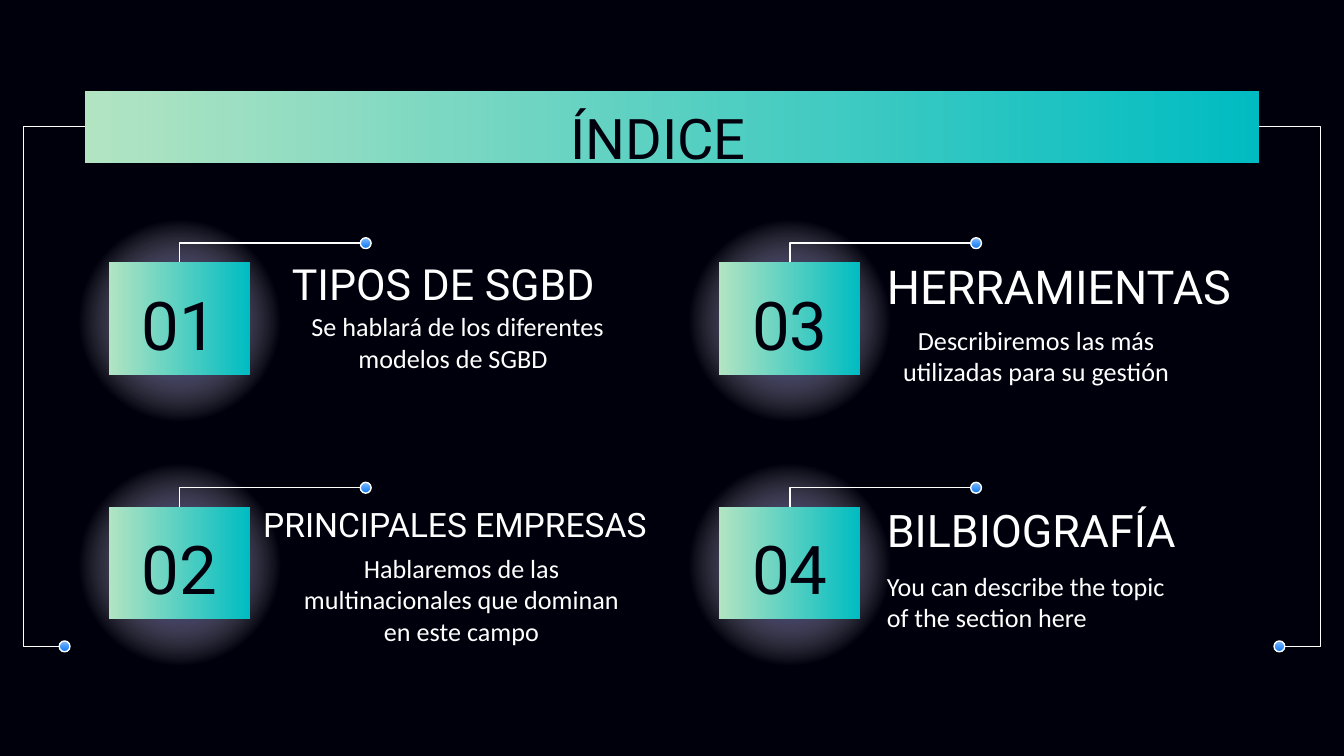
from dataclasses import dataclass

from lxml.etree import SubElement
from pptx import Presentation
from pptx.dml.color import RGBColor
from pptx.enum.shapes import MSO_CONNECTOR, MSO_SHAPE
from pptx.enum.text import MSO_ANCHOR, PP_ALIGN
from pptx.oxml import parse_xml
from pptx.oxml.ns import nsdecls, qn
from pptx.util import Pt


@dataclass(frozen=True)
class Theme:
    """Colours, gradients, fonts and type sizes of the slide."""

    dark: str = "00000D"
    light: str = "FFFFFF"
    band: tuple = ((0, "00BCC2", 100), (100, "B2E4C2", 100))
    halo: tuple = ((0, "170F8D", 100), (61, "FFFFFF", 0), (100, "FFFFFF", 0))
    dot: tuple = ((0, "82BCFE", 100), (100, "0C77F1", 100))
    heading_font: str = "Roboto"
    body_font: str = "Calibri"
    title_size: float = 30
    number_size: float = 36
    body_size: float = 14
    line_width: float = 0.75


@dataclass(frozen=True)
class Section:
    """One entry of the index with its text frames."""

    number: str
    heading: str
    heading_size: float
    heading_frame: tuple
    body: str
    body_frame: tuple
    align: PP_ALIGN = PP_ALIGN.LEFT
    hanging: bool = False


THEME = Theme()
COLUMN_STEP, ROW_STEP = 327, 131
DOT = 5.8
SECTIONS = (
    Section("01", " TIPOS DE SGBD", 23, (144, 131.8, 208.8, 39.6),
            "Se hablará de los diferentes modelos de SGBD",
            (149, 164.2, 197.3, 38.2), hanging=True),
    Section("02", "PRINCIPALES EMPRESAS", 18, (133.9, 264.2, 387.4, 33.1),
            "Hablaremos de las multinacionales que dominan en este campo",
            (152.6, 294.5, 189.4, 53.3), PP_ALIGN.CENTER),
    Section("03", "HERRAMIENTAS", 25, (468, 133.9, 214.6, 38.9),
            "Describiremos las más utilizadas para su gestión",
            (468, 171.4, 174.2, 38.2), PP_ALIGN.CENTER),
    Section("04", "BILBIOGRAFÍA", 24, (468, 262.8, 193.7, 41.8),
            "You can describe the topic of the section here",
            (468, 303.1, 174.2, 38.2)),
)


def fill_gradient(shape, stops, direction):
    """Fill a shape with colour stops given as position, colour and opacity."""
    marks = "".join(
        f'<a:gs pos="{position * 1000}"><a:srgbClr val="{colour}">'
        f'<a:alpha val="{opacity * 1000}"/></a:srgbClr></a:gs>'
        for position, colour, opacity in stops)
    gradient = parse_xml(f'<a:gradFill {nsdecls("a")} rotWithShape="1">'
                         f"<a:gsLst>{marks}</a:gsLst>{direction}</a:gradFill>")
    shape.fill.background()
    properties = shape._element.spPr
    properties.replace(properties.find(qn("a:noFill")), gradient)


def linear(angle):
    """Return the direction of a straight gradient."""
    return f'<a:lin ang="{angle * 60000}" scaled="0"/>'


def radial():
    """Return the direction of a gradient that spreads from the centre."""
    return ('<a:path path="circle"><a:fillToRect l="50000" t="50000" '
            'r="50000" b="50000"/></a:path>')


def style_line(line):
    """Give a line the thin light stroke."""
    line.color.rgb = RGBColor.from_string(THEME.light)
    line.width = Pt(THEME.line_width)


def add_shape(page, kind, frame, stops, direction, outlined=False):
    """Add a gradient shape."""
    shape = page.shapes.add_shape(kind, *map(Pt, frame))
    shape.shadow.inherit = False
    fill_gradient(shape, stops, direction)
    if outlined:
        style_line(shape.line)
    else:
        shape.line.fill.background()


def add_dot(page, left, middle):
    """Add the small round end of a connector."""
    add_shape(page, MSO_SHAPE.OVAL, (left, middle - DOT / 2, DOT, DOT),
              THEME.dot, linear(90), outlined=True)


def add_elbow(page, start, end, preset, bend=None):
    """Add a bent connector, with the place of its bend if it has one."""
    connector = page.shapes.add_connector(
        MSO_CONNECTOR.ELBOW, *map(Pt, start + end))
    style_line(connector.line)
    properties = connector._element.spPr
    SubElement(properties, qn("a:effectLst"))
    geometry = properties.find(qn("a:prstGeom"))
    geometry.set("prst", preset)
    if bend is not None:
        guides = geometry.find(qn("a:avLst"))
        if guides is None:
            guides = SubElement(geometry, qn("a:avLst"))
        SubElement(guides, qn("a:gd"), name="adj1",
                   fmla=f"val {round(bend * 100000)}")


def add_text(page, frame, text, font, size, colour,
             align=PP_ALIGN.LEFT, anchor=MSO_ANCHOR.MIDDLE, hanging=False):
    """Add a wrapped text box with one run."""
    box = page.shapes.add_textbox(*map(Pt, frame)).text_frame
    box.word_wrap = True
    box.vertical_anchor = anchor
    box.margin_left = box.margin_right = Pt(7.2)
    box.margin_top = box.margin_bottom = Pt(7.2)
    para = box.paragraphs[0]
    para.alignment = align
    if hanging:
        settings = para._p.get_or_add_pPr()
        settings.set("marL", str(Pt(36)))
        settings.set("indent", str(-Pt(25.2)))
    span = para.add_run()
    span.text = text
    span.font.name = font
    span.font.size = Pt(size)
    span.font.color.rgb = RGBColor.from_string(colour)


def add_section(page, section, left, top):
    """Add the number card, its connector and the texts of a section."""
    add_shape(page, MSO_SHAPE.OVAL, (left + 32.4, top + 110.2, 127.4, 123.1),
              THEME.halo, radial())
    add_shape(page, MSO_SHAPE.RECTANGLE,
              (left + 58.3, top + 140.4, 75.6, 60.5), THEME.band, linear(180))
    add_text(page, (left + 64.4, top + 152.2, 63.4, 41.8), section.number,
             THEME.heading_font, THEME.number_size, THEME.dark,
             PP_ALIGN.CENTER)
    add_dot(page, left + 193, top + 130.3)
    add_elbow(page, (left + 193, top + 130.3), (left + 96.3, top + 140.4),
              "bentConnector2")
    add_text(page, section.heading_frame, section.heading,
             THEME.heading_font, section.heading_size, THEME.light)
    add_text(page, section.body_frame, section.body, THEME.body_font,
             THEME.body_size, THEME.light, section.align,
             hanging=section.hanging)


def add_title(page):
    """Add the title band and the two side brackets."""
    add_shape(page, MSO_SHAPE.RECTANGLE, (45.4, 49, 629.3, 38.2),
              THEME.band, linear(180))
    add_text(page, (49, 48.2, 607, 45.4), "ÍNDICE", THEME.heading_font,
             THEME.title_size, THEME.dark, PP_ALIGN.CENTER, MSO_ANCHOR.TOP)
    for dot_left, start, end in ((31.7, 31.7, 45.4), (682.5, 688.3, 674.6)):
        add_dot(page, dot_left, 346.3)
        add_elbow(page, (start, 346.3), (end, 67.7), "bentConnector3", -1.39)


def main():
    """Build the index slide and save it."""
    deck = Presentation()
    deck.slide_width, deck.slide_height = Pt(720), Pt(405)
    page = deck.slides.add_slide(deck.slide_layouts[6])
    page.background.fill.solid()
    page.background.fill.fore_color.rgb = RGBColor.from_string(THEME.dark)
    for index, section in enumerate(SECTIONS):
        column, row = divmod(index, 2)
        add_section(page, section, column * COLUMN_STEP, row * ROW_STEP)
    add_title(page)
    deck.save("out.pptx")


if __name__ == "__main__":
    main()
